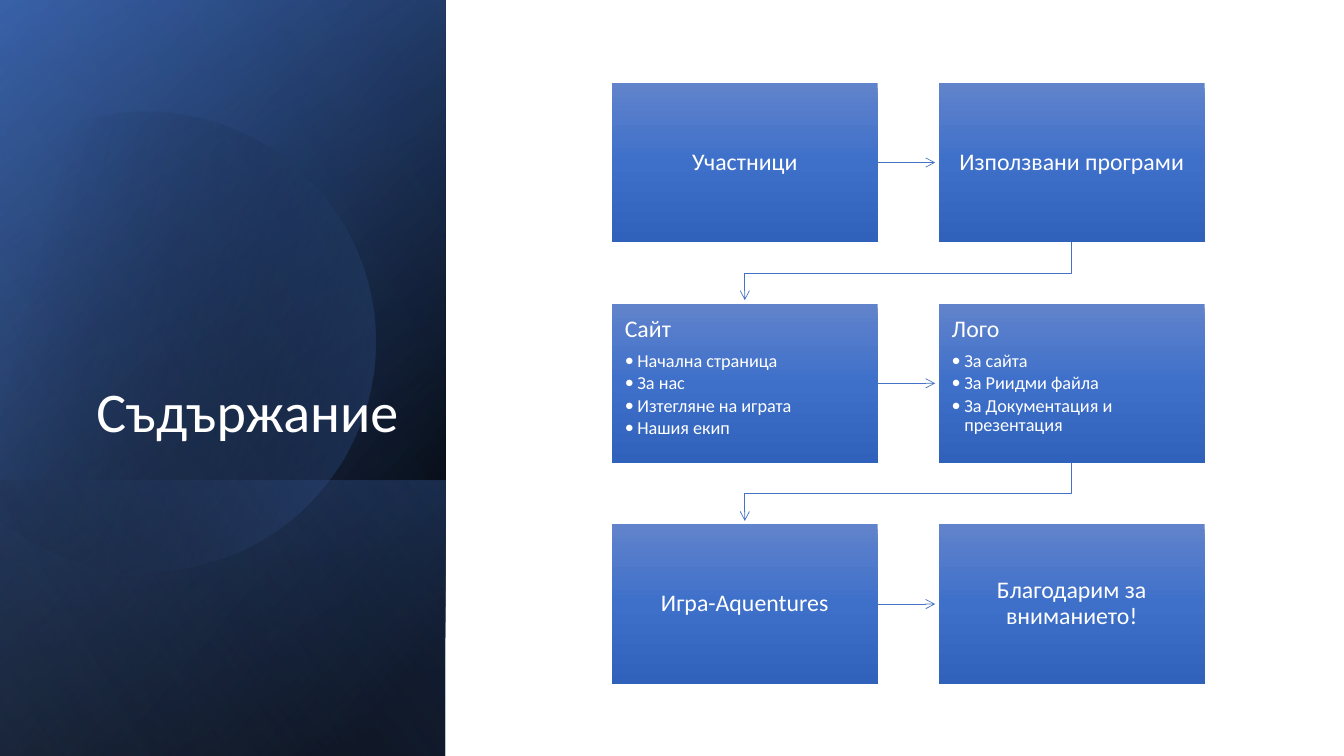
import math
from lxml import etree
from pptx import Presentation, util as u
from pptx.dml import color
from pptx.enum import shapes, text
from pptx.oxml import ns

SLIDE_WIDTH, SLIDE_HEIGHT = 960, 540
SIDEBAR_WIDTH = 318.2
BOX_WIDTH, BOX_HEIGHT = 190, 113.8
FIRST_LEFT, FIRST_TOP = 437, 59.2
COLUMN_STEP, ROW_STEP = 233.5, 157.7
ARROW_GAP = 2.5
BEND_DROP = 22

SIDEBAR_LAYERS = [
    (0, [(8, "000000", 100), (100, "2F5597", 100)], 50),
    (0, [(0, "000000", 0), (99, "4472C4", 46)], 30),
    (343.2, [(2, "4472C4", 29), (100, "000000", 30)], 130),
]
DISC_ANGLES = [-118, -90, 0, 90, 150]
DISC_GRADIENT = [(29, "000000", 0), (100, "4472C4", 43)]
TOP_LAYER = (0, [(0, "000000", 0), (99, "8FAADC", 11)], 120)
BOX_GRADIENT = [(0, "6183CB", 100), (50, "3E70CA", 100), (100, "3062BB", 100)]

AGENDA = [
    ("Участници", []),
    ("Използвани програми", []),
    ("Сайт", ["Начална страница", "За нас", "Изтегляне на играта", "Нашия екип"]),
    ("Лого", ["За сайта", "За Риидми файла", "За Документация и презентация"]),
    ("Игра-Aquentures", []),
    ("Благодарим за вниманието!", []),
]


def rgb(value):
    return color.RGBColor.from_string(value)


def apply(target, values):
    for name, value in values.items():
        setattr(target, name, value)


def add_xml(parent, tag, **attributes):
    return etree.SubElement(parent, ns.qn(tag), attributes)


class AgendaSlide:
    font = "Calibri"
    text_color = "FFFFFF"
    line_color = "4472C4"

    def __init__(self, slide):
        self.shapes = slide.shapes

    def paint(self, shape, stops, angle):
        gradient = add_xml(shape._element.spPr, "a:gradFill")
        stop_list = add_xml(gradient, "a:gsLst")
        for position, hex_color, opacity in stops:
            stop = add_xml(stop_list, "a:gs", pos=str(position * 1000))
            tint = add_xml(stop, "a:srgbClr", val=hex_color)
            if opacity < 100:
                add_xml(tint, "a:alpha", val=str(opacity * 1000))
        add_xml(gradient, "a:lin", ang=str(angle * 60000), scaled="0")
        shape.line.fill.background()
        shape.shadow.inherit = False

    def rectangle(self, left, top, width, height, stops, angle):
        shape = self.shapes.add_shape(
            shapes.MSO_SHAPE.RECTANGLE, *map(u.Pt, (left, top, width, height)))
        self.paint(shape, stops, angle)
        return shape

    def sidebar_layer(self, top, stops, angle):
        length = SLIDE_HEIGHT - top
        offset = (length - SIDEBAR_WIDTH) / 2
        layer = self.rectangle(-offset, top + offset, length, SIDEBAR_WIDTH, stops, angle)
        layer.rotation = 90
        layer._element.spPr.xfrm.set("flipH", "1")

    def outline(self, points, close):
        points = [(u.Pt(x), u.Pt(y)) for x, y in points]
        builder = self.shapes.build_freeform(*points[0])
        builder.add_line_segments(points[1:], close=close)
        return builder.convert_to_shape()

    def cut_disc(self, center_x, center_y, radius, angles, tilt, stops, angle):
        turns = [math.radians(degrees) for degrees in angles]
        anchors = [(center_x + radius * math.cos(turn), center_y + radius * math.sin(turn))
                   for turn in turns]
        disc = self.outline(anchors, True)
        left = min(x for x, _ in anchors)
        top = min(y for _, y in anchors)
        sides = list(disc._element.spPr.iter(ns.qn("a:lnTo")))
        for index, side in enumerate(sides[:len(turns) - 1]):
            start, end = turns[index:index + 2]
            reach = radius * 4 / 3 * math.tan((end - start) / 4)
            side.tag = ns.qn("a:cubicBezTo")
            handles = ((anchors[index], start, reach), (anchors[index + 1], end, -reach))
            for place, ((x, y), turn, pull) in enumerate(handles):
                handle = etree.Element(ns.qn("a:pt"), {
                    "x": str(u.Pt(x - pull * math.sin(turn) - left)),
                    "y": str(u.Pt(y + pull * math.cos(turn) - top))})
                side.insert(place, handle)
        disc.rotation = tilt
        self.paint(disc, stops, angle)

    def paragraph(self, paragraph, wording, size, align, space_after=0):
        apply(paragraph, {"alignment": align, "line_spacing": 0.9,
                          "space_after": u.Pt(space_after)})
        run = paragraph.add_run()
        run.text = wording
        apply(run.font, {"name": self.font, "size": u.Pt(size)})
        run.font.color.rgb = rgb(self.text_color)

    def title(self, wording, left, top, width, height):
        frame = self.shapes.add_textbox(*map(u.Pt, (left, top, width, height))).text_frame
        apply(frame, {"word_wrap": True, "vertical_anchor": text.MSO_ANCHOR.BOTTOM})
        self.paragraph(frame.paragraphs[0], wording, 40, text.PP_ALIGN.RIGHT)

    def topic(self, left, top, heading, details):
        box = self.rectangle(left, top, BOX_WIDTH, BOX_HEIGHT, BOX_GRADIENT, 90)
        frame = box.text_frame
        anchor = text.MSO_ANCHOR.TOP if details else text.MSO_ANCHOR.MIDDLE
        align = text.PP_ALIGN.LEFT if details else text.PP_ALIGN.CENTER
        apply(frame, {"word_wrap": True, "vertical_anchor": anchor,
                      "margin_left": u.Pt(9.3), "margin_right": u.Pt(9.3),
                      "margin_top": u.Pt(9.8), "margin_bottom": u.Pt(9.8)})
        self.paragraph(frame.paragraphs[0], heading, 17, align, 6)
        for detail in details:
            item = frame.add_paragraph()
            item.level = 1
            self.paragraph(item, detail, 13, align, 2)
            properties = item._p.get_or_add_pPr()
            properties.attrib.update({"marL": str(u.Pt(9)), "indent": str(u.Pt(-9))})
            add_xml(properties, "a:buFont", typeface=self.font)
            add_xml(properties, "a:buChar", char="•")

    def arrow_line(self, line):
        line.color.rgb = rgb(self.line_color)
        line.width = u.Pt(0.5)
        add_xml(line._get_or_add_ln(), "a:tailEnd", type="arrow")

    def straight_arrow(self, left, right, y):
        arrow = self.shapes.add_connector(
            shapes.MSO_CONNECTOR.STRAIGHT, *map(u.Pt, (left, y, right, y)))
        self.arrow_line(arrow.line)
        add_xml(arrow._element.spPr, "a:effectLst")

    def bent_arrow(self, start_x, start_y, end_x, end_y):
        bend_y = start_y + BEND_DROP
        arrow = self.outline([(start_x, start_y), (start_x, bend_y),
                              (end_x, bend_y), (end_x, end_y)], False)
        arrow.fill.background()
        self.arrow_line(arrow.line)
        arrow.shadow.inherit = False


def main():
    presentation = Presentation()
    apply(presentation, {"slide_width": u.Pt(SLIDE_WIDTH), "slide_height": u.Pt(SLIDE_HEIGHT)})
    agenda = AgendaSlide(presentation.slides.add_slide(presentation.slide_layouts[6]))

    for layer in SIDEBAR_LAYERS:
        agenda.sidebar_layer(*layer)
    agenda.cut_disc(103.7, 240.8, 164.3, DISC_ANGLES, 343.9, DISC_GRADIENT, 30)
    agenda.sidebar_layer(*TOP_LAYER)
    agenda.title("Съдържание", 46, 132.5, 245.5, 188.6)

    for index, (heading, details) in enumerate(AGENDA):
        row, column = divmod(index, 2)
        left = FIRST_LEFT + column * COLUMN_STEP
        top = FIRST_TOP + row * ROW_STEP
        if column == 0:
            agenda.straight_arrow(left + BOX_WIDTH, left + COLUMN_STEP - ARROW_GAP,
                                  top + BOX_HEIGHT / 2)
        elif index < len(AGENDA) - 1:
            middle = left + BOX_WIDTH / 2
            agenda.bent_arrow(middle, top + BOX_HEIGHT,
                              middle - COLUMN_STEP, top + ROW_STEP - ARROW_GAP)
        agenda.topic(left, top, heading, details)

    presentation.save("out.pptx")


if __name__ == "__main__":
    main()
